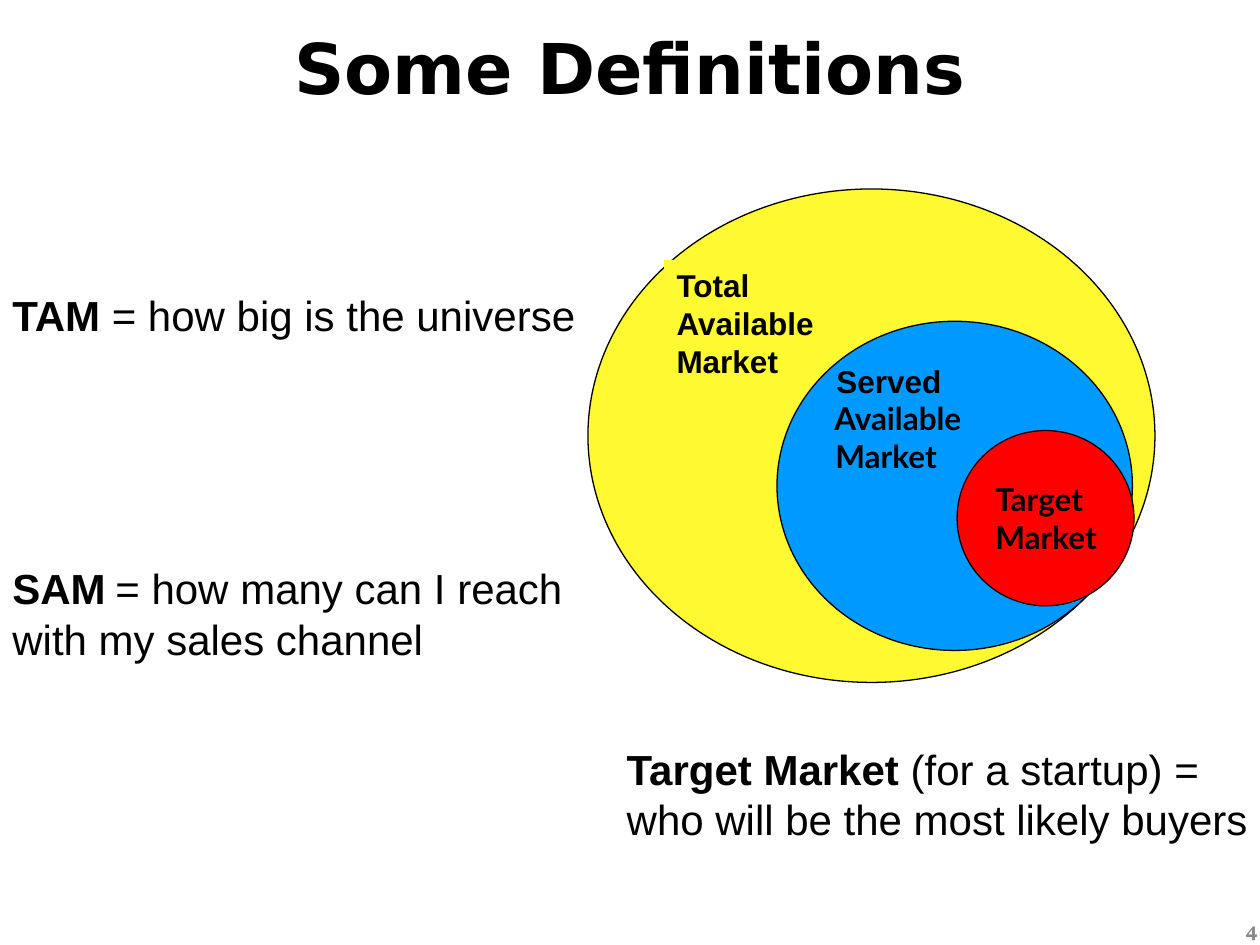
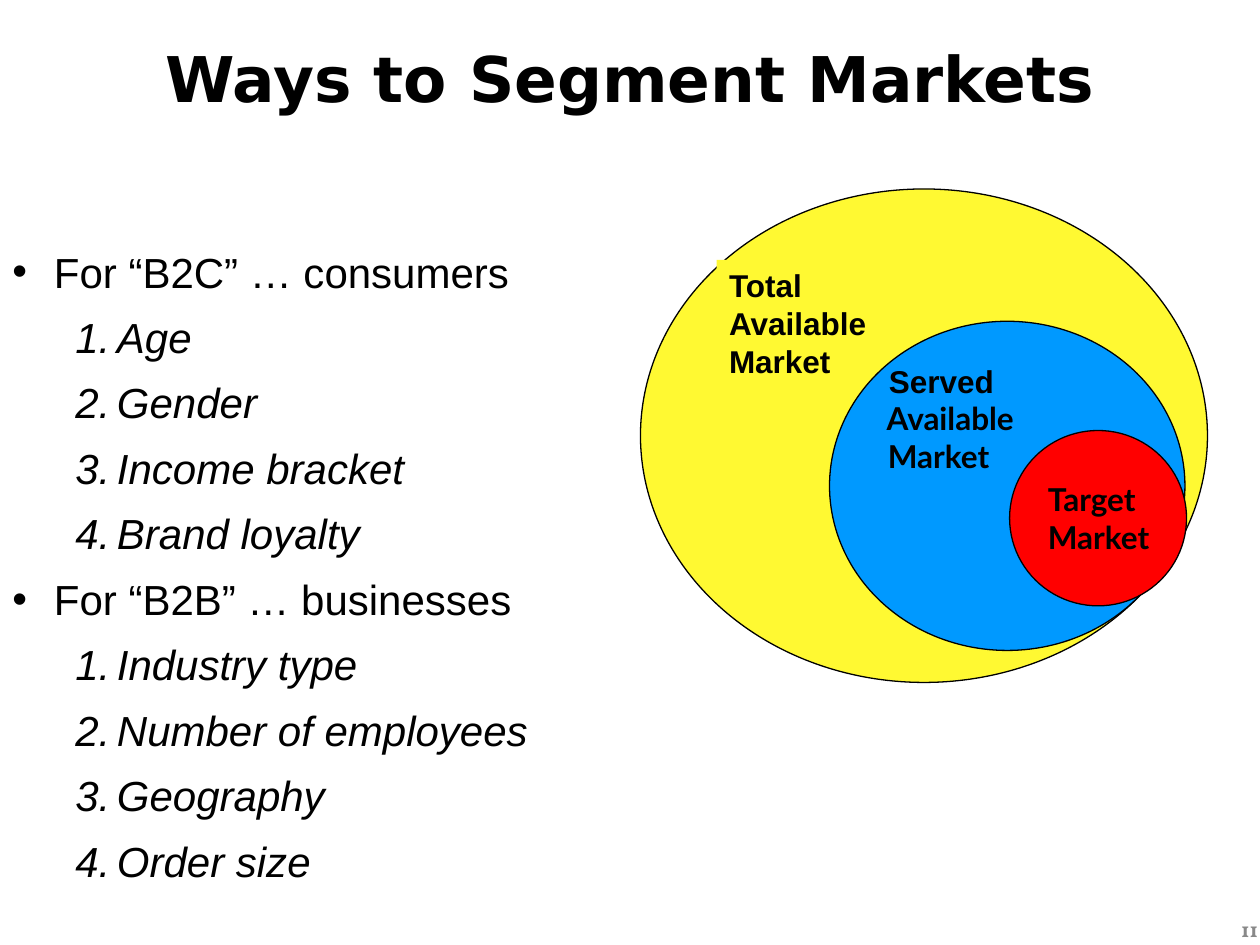
from dataclasses import dataclass
from typing import Any, Optional

from lxml import etree
from pptx import Presentation
from pptx.dml.color import RGBColor
from pptx.enum.shapes import MSO_SHAPE
from pptx.enum.text import MSO_ANCHOR, MSO_AUTO_SIZE, PP_ALIGN
from pptx.oxml.ns import qn
from pptx.util import Inches, Pt

ELLIPSE, RECTANGLE = MSO_SHAPE.OVAL, MSO_SHAPE.RECTANGLE
TOP, MIDDLE, BOTTOM = MSO_ANCHOR.TOP, MSO_ANCHOR.MIDDLE, MSO_ANCHOR.BOTTOM
LEFT, CENTER, RIGHT = PP_ALIGN.LEFT, PP_ALIGN.CENTER, PP_ALIGN.RIGHT
GROW, FIXED = MSO_AUTO_SIZE.SHAPE_TO_FIT_TEXT, MSO_AUTO_SIZE.NONE

COLORS = {
    "ink": "000000",
    "paper": "FFFFFF",
    "total": "FFF932",
    "served": "0099FF",
    "target": "FF0000",
    "number": "898989",
}
SLIDE_WIDTH, SLIDE_HEIGHT = Inches(10), Inches(7.5)
COLUMNS, ROWS = 24, 18
BODY_FONT, TITLE_FONT, LABEL_FONT, NUMBER_FONT = "Arial", "DejaVu Sans", "Lato", "Vollkorn"
LIST_INDENT = Inches(0.33)


@dataclass(frozen=True)
class Area:
    column: float
    row: float
    columns: float
    rows: float

    def shifted(self, columns: float) -> "Area":
        return Area(self.column + columns, self.row, self.columns, self.rows)

    def lengths(self) -> tuple[int, int, int, int]:
        across, down = SLIDE_WIDTH / COLUMNS, SLIDE_HEIGHT / ROWS
        return (round(self.column * across), round(self.row * down),
                round(self.columns * across), round(self.rows * down))


@dataclass(frozen=True)
class Span:
    text: str
    size: float = 24
    bold: bool = False
    italic: bool = False
    font: str = BODY_FONT
    color: str = "ink"


@dataclass(frozen=True)
class Title:
    text: str
    size: float
    area: Area
    anchor: Any


@dataclass(frozen=True)
class Definition:
    area: Area
    lines: tuple[tuple[Span, ...], ...]


@dataclass(frozen=True)
class Market:
    color: str
    circle: Area
    label: tuple[Span, ...]
    label_area: Optional[Area] = None
    label_filled: bool = False


@dataclass(frozen=True)
class Segment:
    heading: str
    criteria: tuple[str, ...]


NUMBER_AREA = Area(23.2, 17.4, 1, 0.6)
LIST_AREA = Area(0, 4.28, 12.2, 14.52)

MARKETS = (
    Market("total", Area(0, 3.6, 10.8, 9.4),
           (Span("Total\nAvailable\nMarket", 18, True),),
           Area(1.45, 4.95, 3.75, 2.4), True),
    Market("served", Area(3.6, 6.12, 6.77, 6.27),
           (Span(" Served\n", 18, True),
            Span(" Available\n Market", 18, True, font=LABEL_FONT)),
           Area(4.33, 6.77, 3.4, 2.4)),
    Market("target", Area(7.03, 8.2, 3.37, 3.34),
           (Span("Target \nMarket", 18, True, font=LABEL_FONT),)),
)

DEFINITIONS = (
    Definition(Area(0, 10.6, 11.93, 2.16), (
        (Span("SAM", bold=True), Span(" ", 20, True), Span("= how many can I reach")),
        (Span("with my sales channel"),))),
    Definition(Area(0, 5.4, 12, 1.2), (
        (Span("TAM", bold=True), Span(" = how big is the universe")),)),
    Definition(Area(11.7, 14.04, 13.12, 2.16), (
        (Span("Target Market ", bold=True),
         Span("(for a startup) = \nwho will be the most likely buyers")),)),
)

SEGMENTS = (
    Segment("For “B2C” … consumers", ("Age", "Gender", "Income bracket", "Brand loyalty")),
    Segment("For “B2B” … businesses",
            ("Industry type", "Number of employees", "Geography", "Order size")),
)


def color_of(name: str) -> RGBColor:
    return RGBColor.from_string(COLORS[name])


def place(shape: Any, area: Area) -> None:
    shape.left, shape.top, shape.width, shape.height = area.lengths()


def write_spans(para: Any, spans: tuple[Span, ...]) -> None:
    for span in spans:
        for index, line in enumerate(span.text.split("\n")):
            if index:
                para.add_line_break()
            if line:
                run = para.add_run()
                run.text = line
                run.font.name = span.font
                run.font.size = Pt(span.size)
                run.font.bold = span.bold
                run.font.italic = span.italic
                run.font.color.rgb = color_of(span.color)


def write_lines(shape: Any, lines: tuple[tuple[Span, ...], ...], align: Any = LEFT,
                anchor: Any = TOP, fit: Any = GROW, wrap: bool = True) -> None:
    frame = shape.text_frame
    frame.word_wrap, frame.auto_size, frame.vertical_anchor = wrap, fit, anchor
    for index, spans in enumerate(lines):
        para = frame.add_paragraph() if index else frame.paragraphs[0]
        para.alignment = align
        write_spans(para, spans)


def add_filled(shapes: Any, kind: Any, area: Area, color: str, outlined: bool) -> Any:
    shape = shapes.add_shape(kind, *area.lengths())
    shape.shadow.inherit = False
    shape.fill.solid()
    shape.fill.fore_color.rgb = color_of(color)
    if outlined:
        shape.line.color.rgb = color_of("ink")
        shape.line.width = Pt(0.75)
    else:
        shape.line.fill.background()
    return shape


def add_market(page: Any, market: Market, shift: float) -> None:
    circle_area = market.circle.shifted(shift)
    if market.label_area is None:
        circle = add_filled(page.shapes, ELLIPSE, circle_area, market.color, True)
        write_lines(circle, (market.label,), anchor=MIDDLE, fit=FIXED, wrap=False)
        return
    group = page.shapes.add_group_shape().shapes
    add_filled(group, ELLIPSE, circle_area, market.color, True)
    label_area = market.label_area.shifted(shift)
    if market.label_filled:
        label = add_filled(group, RECTANGLE, label_area, market.color, False)
    else:
        label = group.add_textbox(*label_area.lengths())
    write_lines(label, (market.label,), wrap=market.label_filled)


def add_markets(page: Any, shift: float) -> None:
    for market in MARKETS:
        add_market(page, market, shift)


def add_page(deck: Any, title: Title, number: str) -> Any:
    page = deck.slides.add_slide(deck.slide_layouts[5])
    page.background.fill.solid()
    page.background.fill.fore_color.rgb = color_of("paper")
    heading = page.shapes.title
    place(heading, title.area)
    write_lines(heading, ((Span(title.text, title.size, True, font=TITLE_FONT),),),
                CENTER, title.anchor, FIXED)
    heading.text_frame.paragraphs[0].line_spacing = 0.9
    box = page.shapes.add_textbox(*NUMBER_AREA.lengths())
    write_lines(box, ((Span(number, 12, True, font=NUMBER_FONT, color="number"),),),
                RIGHT, MIDDLE, FIXED)
    return page


def add_definition(page: Any, definition: Definition) -> None:
    box = page.shapes.add_textbox(*definition.area.lengths())
    write_lines(box, definition.lines)


def format_item(para: Any, level: int) -> None:
    para.level = level
    para.line_spacing = 1.3
    properties = para._p.get_or_add_pPr()
    properties.set("marL", str(LIST_INDENT + level * Inches(0.5)))
    properties.set("indent", str(-LIST_INDENT))
    if level:
        etree.SubElement(properties, qn("a:buFont"), typeface="+mj-lt")
        etree.SubElement(properties, qn("a:buAutoNum"), type="arabicPeriod")
    else:
        etree.SubElement(properties, qn("a:buFont"), typeface=BODY_FONT)
        etree.SubElement(properties, qn("a:buChar"), char="•")


def add_segments(page: Any) -> None:
    items = [(level, text) for segment in SEGMENTS
             for level, texts in enumerate(((segment.heading,), segment.criteria))
             for text in texts]
    box = page.shapes.add_textbox(*LIST_AREA.lengths())
    write_lines(box, tuple((Span(text, italic=level == 1),) for level, text in items))
    for para, (level, _) in zip(box.text_frame.paragraphs, items):
        format_item(para, level)


def main() -> None:
    deck = Presentation()
    deck.slide_width, deck.slide_height = SLIDE_WIDTH, SLIDE_HEIGHT

    definitions_title = Title("Some Definitions", 40, Area(-1.9, -0.6, 27.8, 2.8), BOTTOM)
    definitions_page = add_page(deck, definitions_title, "4")
    add_markets(definitions_page, 11.2)
    for definition in DEFINITIONS:
        add_definition(definitions_page, definition)

    segments_title = Title("Ways to Segment Markets", 36, Area(0.3, 0.8, 23.4, 2.8), TOP)
    segments_page = add_page(deck, segments_title, "11")
    add_markets(segments_page, 12.2)
    add_segments(segments_page)

    deck.save("out.pptx")


if __name__ == "__main__":
    main()
